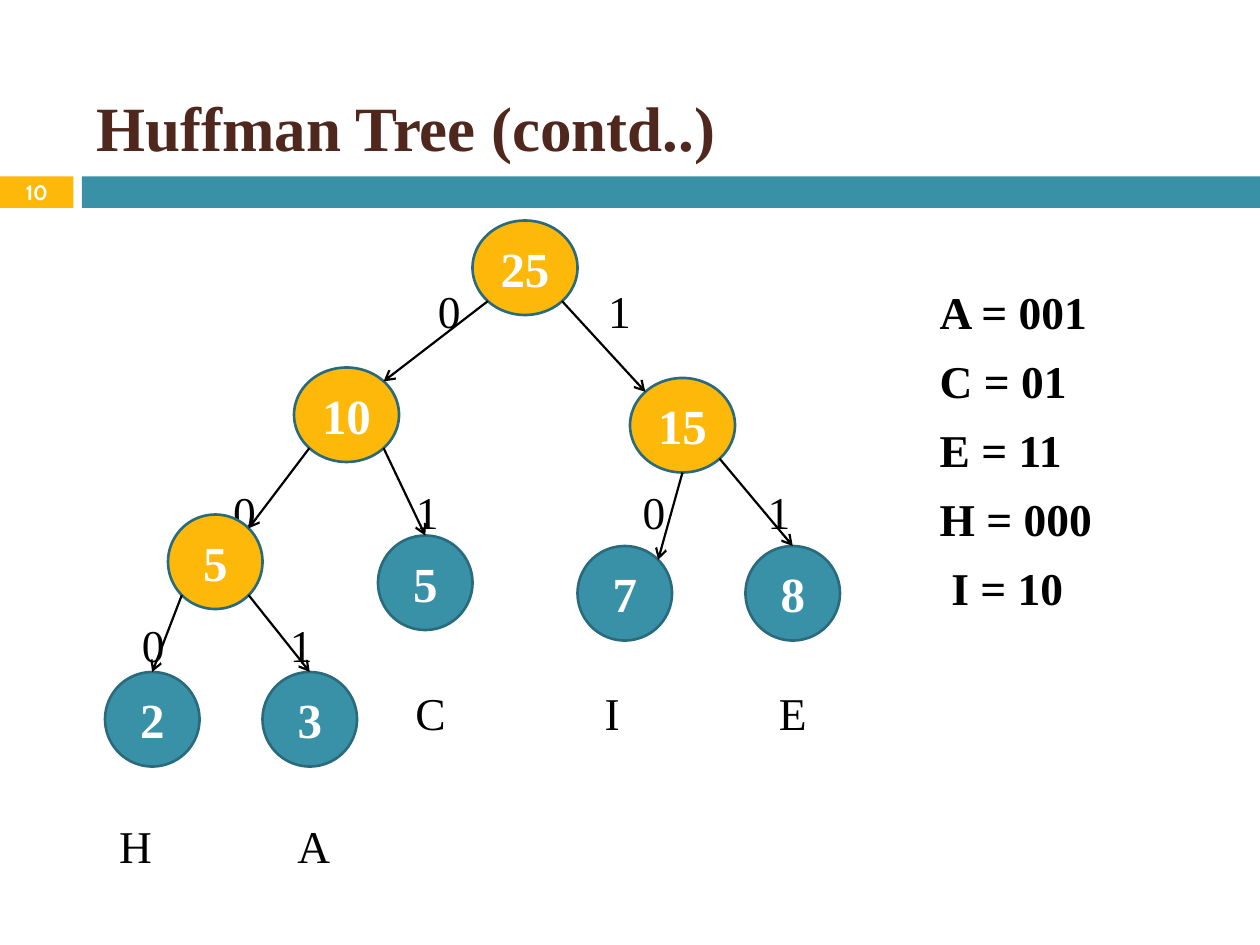
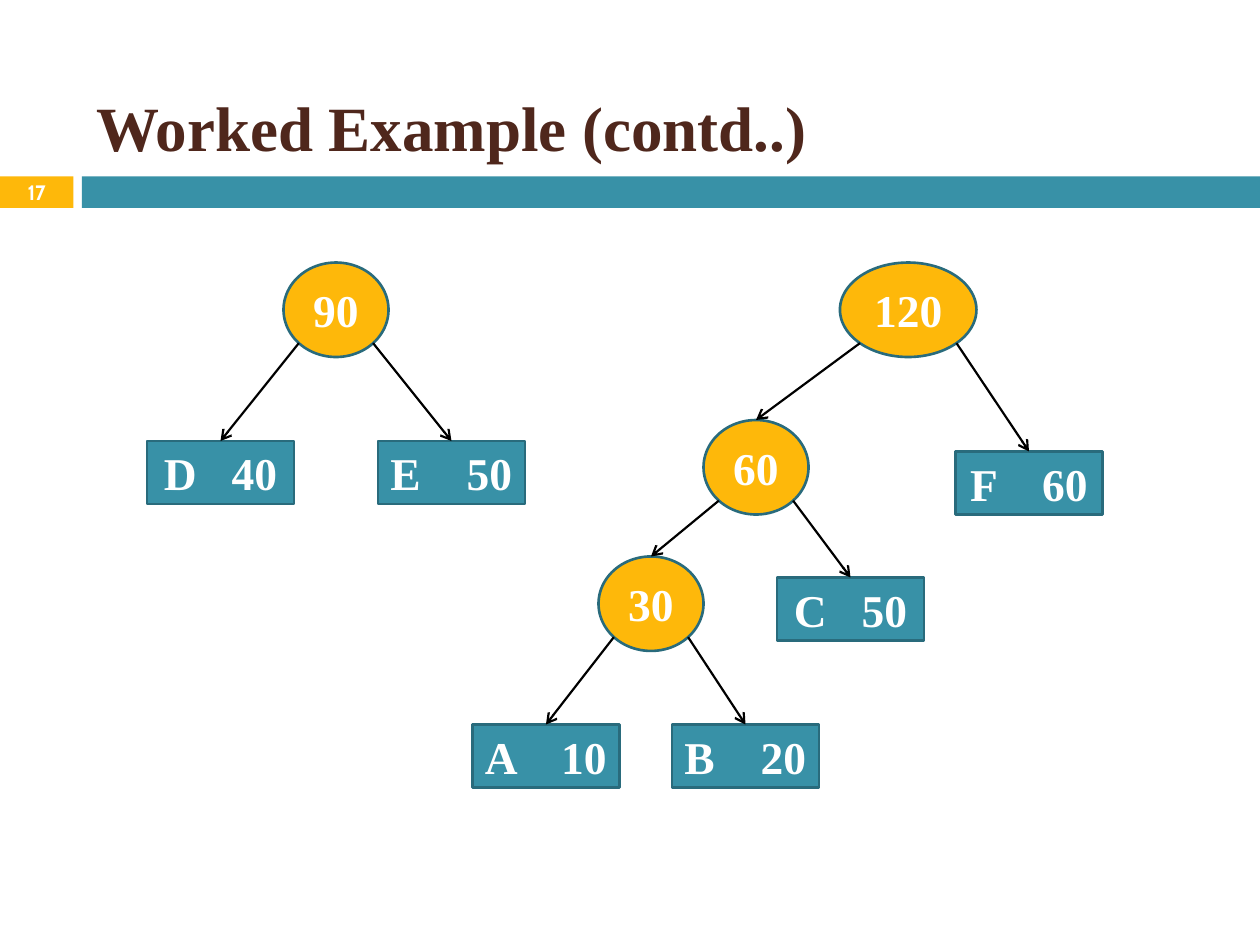
from math import sqrt

from lxml import etree
from pptx import Presentation
from pptx.dml.color import RGBColor
from pptx.enum.shapes import MSO_CONNECTOR, MSO_SHAPE
from pptx.enum.text import MSO_ANCHOR, PP_ALIGN
from pptx.oxml.ns import qn
from pptx.util import Pt

PX = 7620  # EMU per px, 120 px to the inch
LEFT, CENTER = PP_ALIGN.LEFT, PP_ALIGN.CENTER
MIDDLE, TOP_ANCHOR = MSO_ANCHOR.MIDDLE, MSO_ANCHOR.TOP
OVAL, RECTANGLE = MSO_SHAPE.OVAL, MSO_SHAPE.RECTANGLE
STRAIGHT = MSO_CONNECTOR.STRAIGHT

COLORS = {
    "gold": "FEB80A",
    "teal": "3891A7",
    "outline": "296B7C",
    "title": "4F271C",
    "white": "FFFFFF",
    "black": "000000",
}
SERIF, NUMBER_FONT = "Times New Roman", "Cabin"

# Points on an ellipse, as fractions of its half width and half height
DIAGONAL = sqrt(0.5)
SITES = {
    "top": (0, -1),
    "bottom": (0, 1),
    "upper left": (-DIAGONAL, -DIAGONAL),
    "upper right": (DIAGONAL, -DIAGONAL),
    "lower left": (-DIAGONAL, DIAGONAL),
    "lower right": (DIAGONAL, DIAGONAL),
}


def color(name):
    return RGBColor.from_string(COLORS[name])


def site_point(shape, site):
    across, down = SITES[site]
    return (round(shape.left + shape.width * (1 + across) / 2),
            round(shape.top + shape.height * (1 + down) / 2))


class TreeDeck:
    """Holds the deck style and the page being drawn."""

    def __init__(self):
        self.deck = Presentation()
        self.deck.slide_width = 1200 * PX
        self.deck.slide_height = 900 * PX
        self.page = None

    def add_page(self, title, number):
        self.page = self.deck.slides.add_slide(self.deck.slide_layouts[6])
        self.shape(RECTANGLE, 0, 168, 70, 30, "gold")
        self.shape(RECTANGLE, 78, 168, 1122, 30, "teal")
        self.text(80, 70, 1070, 100, [title], 36, "title", bold=True, inset=12)
        self.text(0, 167, 70, 32, [number], 11.9, "white", bold=True,
                  align=CENTER, font=NUMBER_FONT)

    def span(self, para, text, size, ink, bold, font=SERIF):
        span = para.add_run()
        span.text = text
        span.font.size = Pt(size)
        span.font.name = font
        span.font.bold = bold
        span.font.color.rgb = color(ink)

    def set_frame(self, frame, anchor, inset=0):
        frame.word_wrap = True
        frame.vertical_anchor = anchor
        frame.margin_left = frame.margin_right = inset * PX
        frame.margin_top = frame.margin_bottom = 0

    def text(self, x, y, width, height, lines, size, ink="black", bold=False,
             align=LEFT, anchor=MIDDLE, font=SERIF, inset=0, gap=0):
        box = self.page.shapes.add_textbox(x * PX, y * PX, width * PX, height * PX)
        frame = box.text_frame
        self.set_frame(frame, anchor, inset)
        for index, line in enumerate(lines):
            para = frame.add_paragraph() if index else frame.paragraphs[0]
            para.alignment = align
            if index:
                para.space_before = Pt(gap)
            self.span(para, line, size, ink, bold, font)
        return box

    def label(self, x, y, text):
        """Put one character with its middle at x, y."""
        self.text(x - 30, y - 25, 60, 50, [text], 26, align=CENTER)

    def shape(self, kind, x, y, width, height, fill, outlined=False):
        shape = self.page.shapes.add_shape(kind, x * PX, y * PX, width * PX, height * PX)
        shape.shadow.inherit = False
        shape.fill.solid()
        shape.fill.fore_color.rgb = color(fill)
        if outlined:
            shape.line.color.rgb = color("outline")
            shape.line.width = Pt(1.5)
        else:
            shape.line.fill.background()
        return shape

    def node(self, text, x, y, width=100, fill="gold", size=28):
        node = self.shape(OVAL, x, y, width, 90, fill, outlined=True)
        self.set_frame(node.text_frame, MIDDLE)
        para = node.text_frame.paragraphs[0]
        para.alignment = CENTER
        self.span(para, text, size, "white", True)
        return node

    def leaf(self, letter, weight, x, y, margin):
        """Draw a box with a letter at its left and a weight at its right."""
        width = 140
        leaf = self.shape(RECTANGLE, x, y, width, 60, "teal", outlined=True)
        frame = leaf.text_frame
        self.set_frame(frame, MIDDLE)
        frame.margin_left = margin * PX
        para = frame.paragraphs[0]
        para.alignment = LEFT
        tabs = etree.SubElement(para._p.get_or_add_pPr(), qn("a:tabLst"))
        etree.SubElement(tabs, qn("a:tab"), pos=str((width - 2 * margin) * PX), algn="r")
        self.span(para, f"{letter}\t{weight}", 26, "white", True)
        return leaf

    def edge(self, parent, start, child, end="top"):
        line = self.page.shapes.add_connector(
            STRAIGHT, *site_point(parent, start), *site_point(child, end))
        if end == "top":
            line.end_connect(child, 0)
        line.line.color.rgb = color("black")
        line.line.width = Pt(1.25)
        etree.SubElement(line.line._get_or_add_ln(), qn("a:tailEnd"), type="arrow")
        etree.SubElement(line._element.spPr, qn("a:effectLst"))


def draw_huffman_tree(deck):
    deck.add_page("Huffman Tree (contd..)", "10")

    label_rows = {
        0: [("0", 428), ("1", 590)],
        3: [("0", 233), ("1", 407), ("0", 623), ("1", 742)],
        5: [("0", 146), ("1", 287)],
        6: [("C", 410), ("I", 583), ("E", 755)],
        8: [("H", 129), ("A", 299)],
    }
    for row, labels in label_rows.items():
        for text, x in labels:
            deck.label(x, round(296 + 63.6 * row), text)

    codes = ["A = 001", "C = 01", "E = 11", "H = 000", "I = 10"]
    code_box = deck.text(895, 271, 255, 310, codes, 26, bold=True,
                         anchor=TOP_ANCHOR, gap=8.2)
    last_code = code_box.text_frame.paragraphs[-1]
    last_code._p.get_or_add_pPr().set("marL", str(11 * PX))

    root = deck.node("25", 450, 210)
    ten = deck.node("10", 280, 350)
    fifteen = deck.node("15", 600, 360)
    five = deck.node("5", 160, 490, 90)
    leaves = [("C", "5", 360, 510), ("H", "2", 100, 640), ("A", "3", 250, 640),
              ("I", "7", 550, 520), ("E", "8", 710, 520)]
    leaf = {letter: deck.node(count, x, y, 90, "teal")
            for letter, count, x, y in leaves}

    deck.edge(root, "lower left", ten, "upper right")
    deck.edge(root, "lower right", fifteen, "upper left")
    deck.edge(ten, "lower left", five, "upper right")
    deck.edge(ten, "lower right", leaf["C"])
    deck.edge(fifteen, "bottom", leaf["I"], "upper right")
    deck.edge(fifteen, "lower right", leaf["E"])
    deck.edge(five, "lower left", leaf["H"])
    deck.edge(five, "lower right", leaf["A"])


def draw_worked_example(deck):
    deck.add_page("Worked Example (contd..)", "17")

    nodes = [("90", 270, 250, 100), ("120", 800, 250, 130),
             ("60", 670, 400, 100), ("30", 570, 530, 100)]
    node = {text: deck.node(text, x, y, width, size=26)
            for text, x, y, width in nodes}
    leaves = [("D", "40", 140, 420, 16), ("E", "50", 360, 420, 12),
              ("C", "50", 740, 550, 16), ("A", "10", 450, 690, 12),
              ("B", "20", 640, 690, 12), ("F", "60", 910, 430, 14)]
    for letter, weight, x, y, margin in leaves:
        node[letter] = deck.leaf(letter, weight, x, y, margin)

    children = {"90": "DE", "120": ("60", "F"), "60": ("30", "C"), "30": "AB"}
    for parent, (left, right) in children.items():
        deck.edge(node[parent], "lower left", node[left])
        deck.edge(node[parent], "lower right", node[right])


def main():
    deck = TreeDeck()
    draw_huffman_tree(deck)
    draw_worked_example(deck)
    deck.deck.save("out.pptx")


if __name__ == "__main__":
    main()
